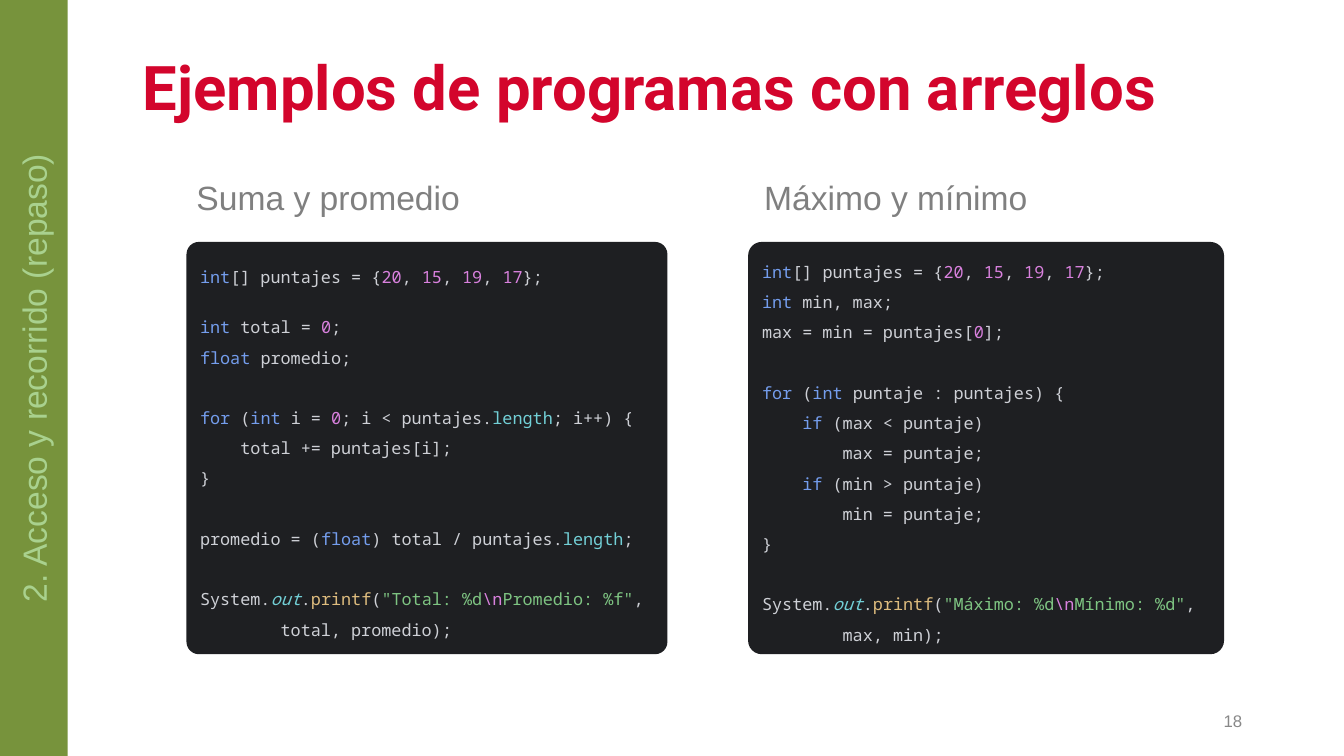
from copy import deepcopy
from dataclasses import dataclass
from typing import NamedTuple

from lxml.etree import SubElement
from pptx import Presentation
from pptx.dml.color import RGBColor
from pptx.enum.shapes import MSO_SHAPE as Preset
from pptx.enum.text import MSO_ANCHOR as Anchor, MSO_AUTO_SIZE as AutoSize, PP_ALIGN as Align
from pptx.oxml.ns import qn
from pptx.util import Inches, Pt

KEYWORD, PLAIN, NUMBER = "749DED", "CED0D6", "D981DE"
MEMBER, METHOD, STRING = "72CFD6", "DEBC7E", "7EC482"


class Token(NamedTuple):
    text: str
    ink: str = PLAIN
    italic: bool = False


class Box(NamedTuple):
    left: float
    top: float
    width: float
    height: float


@dataclass
class Label:
    text: str
    box: Box
    size: float
    ink: str
    face: str = "Arial"
    bold: bool = False
    align: Align = Align.LEFT
    anchor: Anchor = Anchor.TOP
    spacing: float = 1.0


@dataclass
class Listing:
    box: Box
    rounding: float
    paragraphs: list[list[Token]]


def keyword(text: str) -> Token:
    return Token(text, KEYWORD)


def number(text: str) -> Token:
    return Token(text, NUMBER)


def printf_call(first: str, second: str) -> list[Token]:
    return [Token("out", MEMBER, True), Token("."), Token("printf", METHOD), Token("("),
            Token(f'"{first}: %d', STRING), number("\\n"), Token(f'{second}: %f"' if second == "Promedio"
                                                                 else f'{second}: %d"', STRING)]


def colour(value: str) -> RGBColor:
    return RGBColor.from_string(value)


def add_run(paragraph, text: str, size: float, ink: str, face: str, bold=False, italic=False):
    run = paragraph.add_run()
    run.text = text
    run.font.size, run.font.name = Pt(size), face
    run.font.bold, run.font.italic = bold, italic
    run.font.color.rgb = colour(ink)
    return run


def add_panel(slide, preset: Preset, box: Box, fill: str):
    panel = slide.shapes.add_shape(preset, *map(Inches, box))
    panel.shadow.inherit = False
    panel.fill.solid()
    panel.fill.fore_color.rgb = colour(fill)
    panel.line.fill.background()
    panel.text_frame.vertical_anchor = Anchor.MIDDLE
    return panel


def add_label(slide, label: Label) -> None:
    frame = slide.shapes.add_textbox(*map(Inches, label.box)).text_frame
    frame.word_wrap = True
    frame.vertical_anchor = label.anchor
    line = frame.paragraphs[0]
    line.alignment, line.line_spacing = label.align, label.spacing
    add_run(line, label.text, label.size, label.ink, label.face, label.bold)


def add_section_band(slide, section: str) -> None:
    band = add_panel(slide, Preset.RECTANGLE, Box(-0.01, 0, 0.68, 7.5), "77933C")
    band.text_frame._txBody.bodyPr.set("vert", "vert270")
    line = band.text_frame.paragraphs[0]
    line.alignment = Align.CENTER
    add_run(line, section, 24, "A9D18E", "Arial")


def add_code_token(paragraph, token: Token) -> None:
    for index, piece in enumerate(token.text.split("\n")):
        if index:
            paragraph.add_line_break()
            line_break = paragraph._p[-1]
            sample = add_run(paragraph, "", 12, token.ink, "Noto Sans Mono")
            line_break.append(deepcopy(sample._r.rPr))
            paragraph._p.remove(sample._r)
        if piece:
            add_run(paragraph, piece, 12, token.ink, "Noto Sans Mono", italic=token.italic)


def add_listing(slide, listing: Listing) -> None:
    panel = add_panel(slide, Preset.ROUNDED_RECTANGLE, listing.box, "1E1F22")
    panel.adjustments[0] = listing.rounding
    frame = panel.text_frame
    frame.word_wrap = False
    frame.auto_size = AutoSize.SHAPE_TO_FIT_TEXT
    for index, tokens in enumerate(listing.paragraphs):
        paragraph = frame.add_paragraph() if index else frame.paragraphs[0]
        paragraph.alignment, paragraph.line_spacing = Align.LEFT, 1.5
        for token in tokens:
            add_code_token(paragraph, token)
        ending = SubElement(paragraph._p, qn("a:endParaRPr"), sz="1200")
        ending.extend(deepcopy(child) for child in paragraph.runs[-1]._r.rPr)


SCORES = [keyword("int"), Token("[] puntajes = {"), number("20"), Token(", "), number("15"),
          Token(", "), number("19"), Token(", "), number("17"), Token("};\n")]

SUM_AND_AVERAGE = Listing(Box(1.85, 2.4, 4.77, 4.09), 0.03, [
    SCORES,
    [keyword("int "), Token("total = "), number("0"), Token(";\n"),
     keyword("float "), Token("promedio;")],
    [Token("\n"), keyword("for "), Token("("), keyword("int "), Token("i = "), number("0"),
     Token("; i < puntajes."), Token("length", MEMBER),
     Token("; i++) {\n    total += puntajes[i];\n}\n")],
    [Token("promedio = ("), keyword("float"), Token(") total / puntajes."),
     Token("length", MEMBER), Token(";\n")],
    [Token("System."), *printf_call("Total", "Promedio"), Token(",\n        total, promedio);")],
])

MAX_AND_MIN = Listing(Box(7.42, 2.4, 4.72, 4.09), 0.033, [
    [*SCORES, keyword("int "), Token("min, max;")],
    [Token("max = min = puntajes["), number("0"), Token("];\n")],
    [keyword("for "), Token("("), keyword("int "), Token("puntaje : puntajes) {\n    "),
     keyword("if "), Token("(max < puntaje)")],
    [Token("        max = puntaje;\n    "), keyword("if "), Token("(min > puntaje)")],
    [Token("        min = puntaje;\n}\n\nSystem."), *printf_call("Máximo", "Mínimo"), Token(",")],
    [Token("        max, min);")],
])

LABELS = [
    Label("Ejemplos de programas con arreglos", Box(1.32, 0.47, 11.1, 0.86), 44, "D3052C",
          "Roboto", bold=True, anchor=Anchor.MIDDLE, spacing=0.9),
    Label("18", Box(9.42, 6.95, 3, 0.4), 12, "888888", align=Align.RIGHT, anchor=Anchor.MIDDLE),
    Label("Suma y promedio", Box(1.85, 1.71, 3.42, 0.5), 24, "808080"),
    Label("Máximo y mínimo", Box(7.48, 1.71, 3.42, 0.5), 24, "808080"),
]


def main() -> None:
    deck = Presentation()
    deck.slide_width, deck.slide_height = Inches(13.33), Inches(7.5)
    slide = deck.slides.add_slide(deck.slide_layouts[6])
    add_section_band(slide, "2. Acceso y recorrido (repaso)")
    for listing in (SUM_AND_AVERAGE, MAX_AND_MIN):
        add_listing(slide, listing)
    for label in LABELS:
        add_label(slide, label)
    deck.save("out.pptx")


if __name__ == "__main__":
    main()
